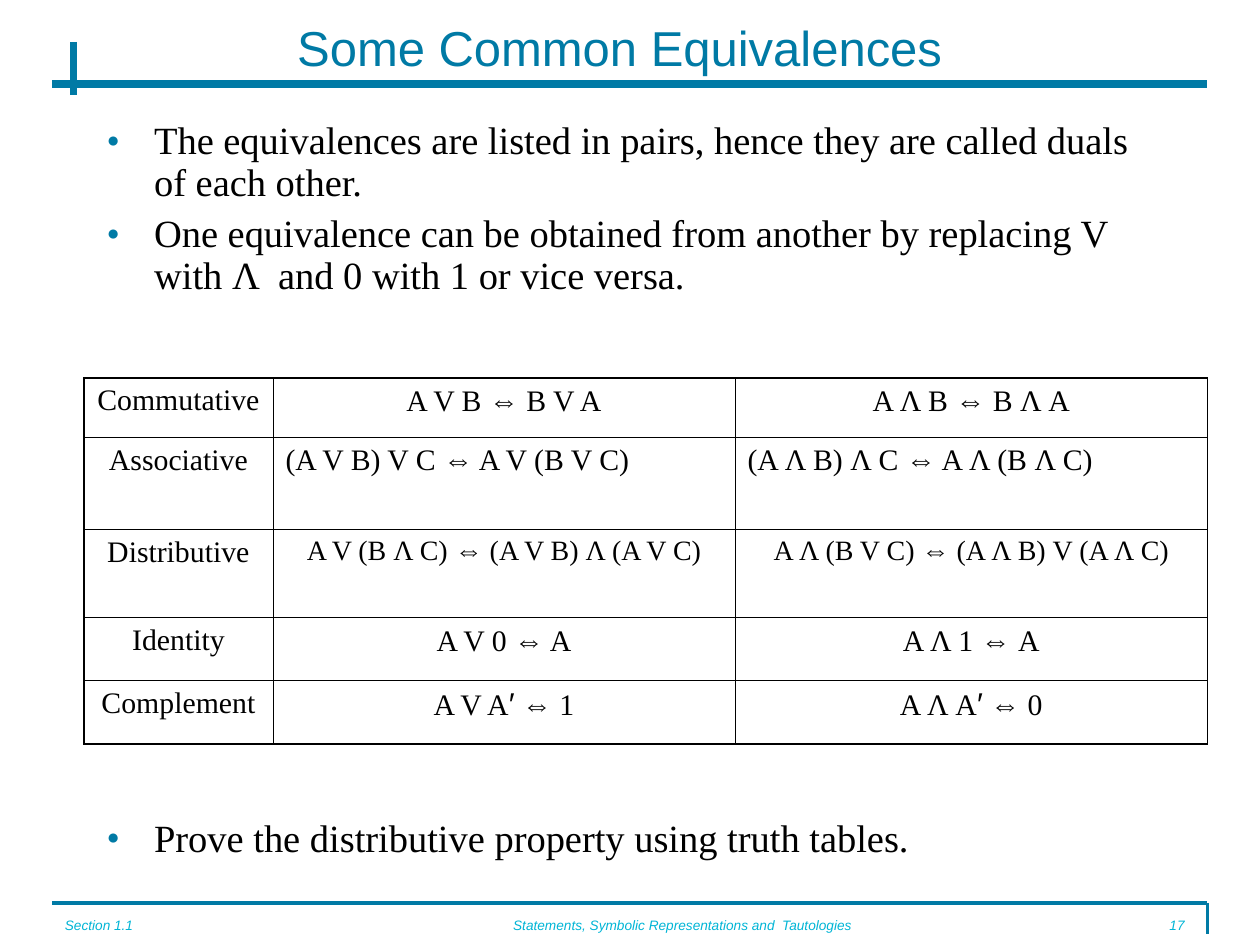
from itertools import groupby

from lxml import etree
from pptx import Presentation, util as u
from pptx.dml.color import RGBColor
from pptx.enum import shapes, text
from pptx.oxml import ns

COLORS = {"accent": "007AA5", "footer": "00B5D6", "ink": "000000"}
SANS, SERIF = "Arial", "Times New Roman"
ALIGN = text.PP_ALIGN
DUAL = str.maketrans("VΛ01", "ΛV10")
THIN, THICK = 0.45, 1.08


def add_child(parent, tag, **attributes):
    return etree.SubElement(parent, ns.qn(tag), attributes)


class SlideBuilder:
    def __init__(self, slide):
        self.slide = slide

    def run(self, paragraph, words, size, font, color, italic=False):
        run = paragraph.add_run()
        run.text = words
        run.font.size = u.Pt(size)
        run.font.name = font
        run.font.italic = italic
        run.font.color.rgb = RGBColor.from_string(COLORS[color])

    def title(self, words, *box):
        heading = self.slide.shapes.title
        heading.left, heading.top, heading.width, heading.height = map(u.Pt, box)
        frame = heading.text_frame
        frame.word_wrap = True
        frame.auto_size = text.MSO_AUTO_SIZE.NONE
        frame.vertical_anchor = text.MSO_ANCHOR.MIDDLE
        frame.paragraphs[0].alignment = ALIGN.CENTER
        self.run(frame.paragraphs[0], words, 28, SANS, "accent")

    def rule(self, start, end, weight):
        line = self.slide.shapes.add_connector(
            shapes.MSO_CONNECTOR.STRAIGHT, *map(u.Pt, start + end))
        line.line.color.rgb = RGBColor.from_string(COLORS["accent"])
        line.line.width = u.Pt(weight)
        add_child(line.element.spPr, "a:effectLst")

    def text_frame(self, box):
        frame = self.slide.shapes.add_textbox(*map(u.Pt, box)).text_frame
        frame.word_wrap = True
        return frame

    def footer(self, words, alignment, left, width):
        paragraph = self.text_frame((left, 522, width, 18)).paragraphs[0]
        paragraph.alignment = alignment
        paragraph.line_spacing = 0.8
        self.run(paragraph, words, 7.8, SANS, "footer", italic=True)

    def bullets(self, points, *box):
        frame = self.text_frame(box)
        for index, (words, gap) in enumerate(points):
            paragraph = frame.paragraphs[0] if index == 0 else frame.add_paragraph()
            paragraph.line_spacing = 0.9
            paragraph.space_before = u.Pt(gap)
            props = paragraph._p.get_or_add_pPr()
            props.set("marL", str(u.Pt(27)))
            props.set("indent", str(u.Pt(-27)))
            add_child(add_child(props, "a:buClr"), "a:srgbClr", val=COLORS["accent"])
            add_child(props, "a:buSzPct", val="55000")
            add_child(props, "a:buFont", typeface=SANS)
            add_child(props, "a:buChar", char="●")
            self.run(paragraph, words, 22, SERIF, "ink")

    def borders(self, cell, weights):
        props = cell._tc.get_or_add_tcPr()
        for side, weight in weights.items():
            edge = add_child(props, f"a:ln{side}", w=str(u.Pt(weight)))
            add_child(add_child(edge, "a:solidFill"), "a:srgbClr", val=COLORS["ink"])
        cell.fill.background()

    def formula(self, paragraph, words, size):
        for symbol, letters in groupby(words, lambda letter: letter in "⇔′"):
            part = "".join(letters)
            self.run(paragraph, part, 18 if part == "′" else size,
                     SANS if symbol else SERIF, "ink")

    def law_table(self, laws, widths, left, top):
        heights = [law[1] for law in laws]
        grid = self.slide.shapes.add_table(
            len(laws), len(widths),
            *map(u.Pt, (left, top, sum(widths), sum(heights)))).table
        grid.first_row = grid.horz_banding = False
        for column, width in zip(grid.columns, widths):
            column.width = u.Pt(width)
        last_row, last_col = len(laws) - 1, len(widths) - 1
        for r, (name, height, law, size, alignment) in enumerate(laws):
            grid.rows[r].height = u.Pt(height)
            for c, words in enumerate((name, law, law.translate(DUAL))):
                cell = grid.cell(r, c)
                paragraph = cell.text_frame.paragraphs[0]
                paragraph.alignment = alignment if c else ALIGN.CENTER
                paragraph.space_before = u.Pt(4.2)
                self.formula(paragraph, words, size if c else 17)
                self.borders(cell, {
                    "L": THICK if c == 0 else THIN,
                    "R": THICK if c == last_col else THIN,
                    "T": THICK if r == 0 else THIN,
                    "B": THICK if r == last_row else THIN,
                })


def main():
    deck = Presentation()
    deck.slide_width, deck.slide_height = u.Pt(720), u.Pt(540)
    page = SlideBuilder(deck.slides.add_slide(deck.slide_layouts[5]))

    page.rule((30, 516), (690, 516), 2.25)
    page.rule((690, 516), (690, 534), 2.25)
    page.rule((30, 48), (690, 48), 4.5)
    page.rule((42, 24), (42, 54), 4.5)

    page.footer("Section 1.1", ALIGN.LEFT, 30, 126)
    page.footer("Statements, Symbolic Representations and  Tautologies",
                ALIGN.CENTER, 240, 300)
    page.footer("17", ALIGN.RIGHT, 630, 54)

    page.title("Some Common Equivalences", 48, 12, 612, 30)
    page.bullets([
        ("The equivalences are listed in pairs, hence they are called duals "
         "of each other.", 5.5),
        ("One equivalence can be obtained from another by replacing V "
         "with Λ  and 0 with 1 or vice versa.", 5.5),
        ("Prove the distributive property using truth tables.", 298),
    ], 54, 66, 612, 432)
    page.law_table([
        ("Commutative", 34, "A V B ⇔ B V A", 17, ALIGN.CENTER),
        ("Associative", 52.5, "(A V B) V C ⇔ A V (B V C)", 17, ALIGN.LEFT),
        ("Distributive", 50.5, "A V (B Λ C) ⇔ (A V B) Λ (A V C)", 16, ALIGN.CENTER),
        ("Identity", 36, "A V 0 ⇔ A", 17, ALIGN.CENTER),
        ("Complement", 36, "A V A′ ⇔ 1", 17, ALIGN.CENTER),
    ], (108, 264, 270), 48, 216)

    deck.save("out.pptx")


if __name__ == "__main__":
    main()
